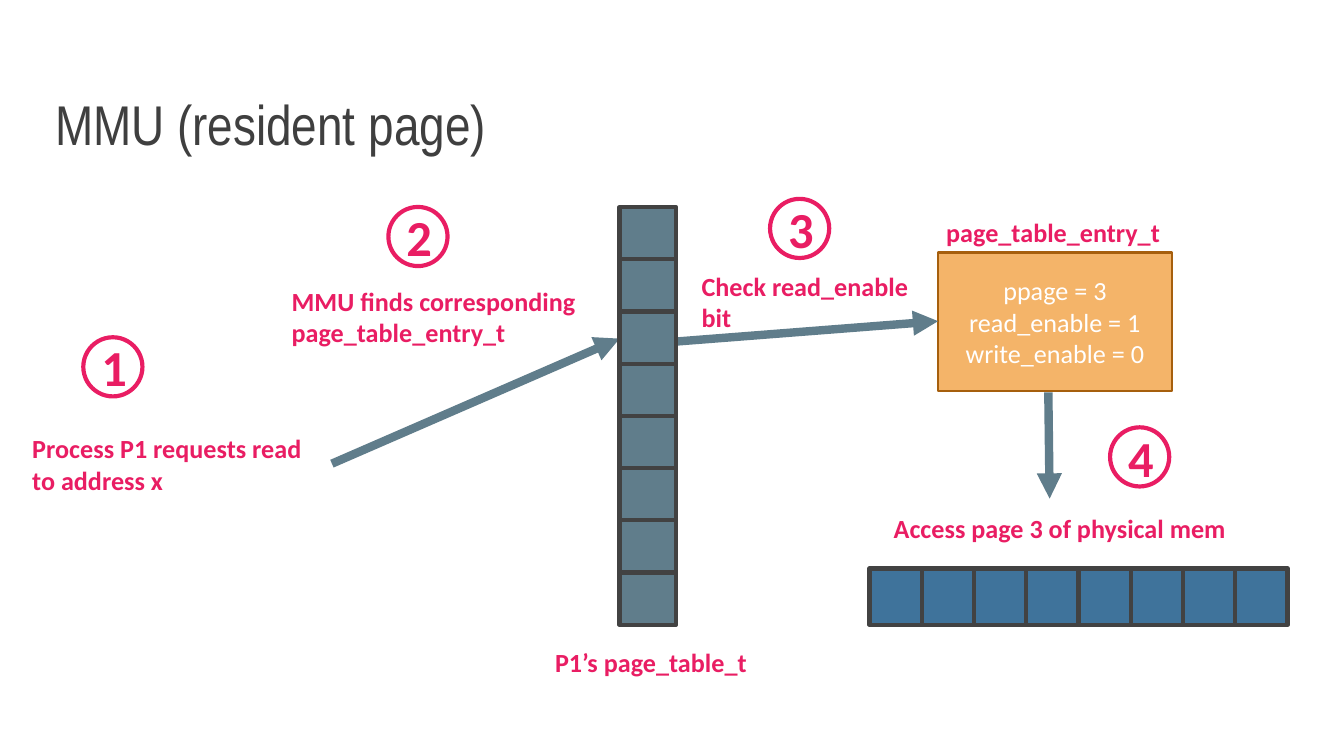
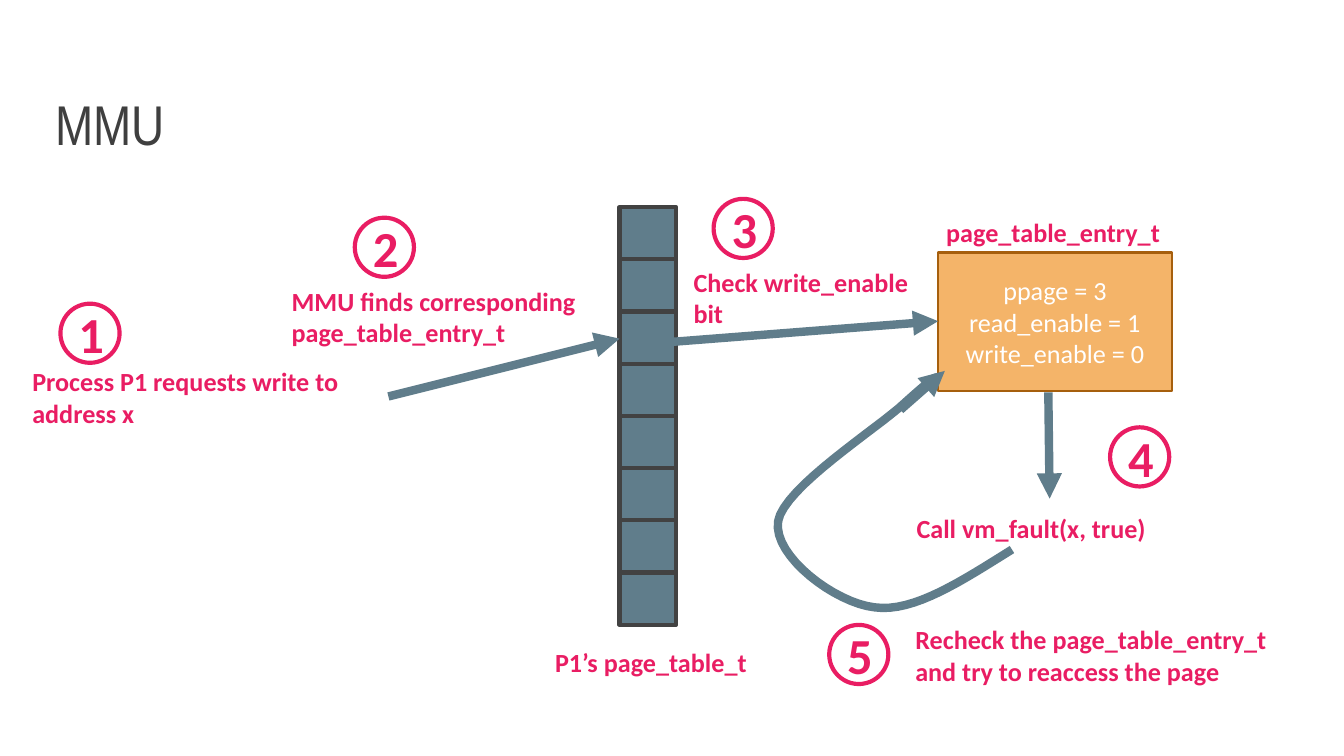
from pptx import Presentation
from pptx.dml.color import RGBColor
from pptx.enum.shapes import MSO_CONNECTOR, MSO_SHAPE
from pptx.enum.text import MSO_ANCHOR, PP_ALIGN
from pptx.oxml.ns import qn
from pptx.util import Pt
from lxml.etree import SubElement

PX = 9144
SLIDE_WIDTH = 1000
WHITE = RGBColor(0xFF, 0xFF, 0xFF)
PINK = RGBColor(0xE9, 0x1D, 0x63)
SLATE = RGBColor(0x60, 0x7D, 0x8B)
CHARCOAL = RGBColor(0x42, 0x42, 0x42)
TITLE_GREY = RGBColor(0x3F, 0x3F, 0x3F)
ORANGE = RGBColor(0xF4, 0xB4, 0x69)
BROWN = RGBColor(0xA6, 0x5F, 0x0D)
BLUE = RGBColor(0x3F, 0x73, 0x9B)

CELL_COUNT = 8
CELL_LENGTH = 39
CELL_BREADTH = 42
CELL_SPAN = 272
CIRCLE_SIZE = 44
CURVE_STEPS = 16
RETRY_START = (753, 409)
RETRY_CURVES = [
    ((716, 432), (680, 456), (651, 452)),
    ((622, 449), (575, 414), (579, 388)),
    ((583, 363), (654, 318), (673, 300)),
    ((693, 282), (695, 281), (697, 281)),
]


def emu(*lengths):
    """Convert px lengths to EMU."""
    return [round(length * PX) for length in lengths]


def write_text(shape, text, size=14, font="Calibri", color=PINK, bold=True,
               align=PP_ALIGN.LEFT, anchor=MSO_ANCHOR.TOP, spacing=None):
    """Fill a shape with text, one paragraph for each line."""
    frame = shape.text_frame
    frame.word_wrap = True
    frame.vertical_anchor = anchor
    frame.margin_left, frame.margin_top, frame.margin_right, frame.margin_bottom = emu(7, 4, 7, 4)
    for index, line in enumerate(text.split("\n")):
        paragraph = frame.add_paragraph() if index else frame.paragraphs[0]
        paragraph.alignment = align
        if spacing:
            paragraph.line_spacing = spacing
        run = paragraph.add_run()
        run.text = line
        run.font.size = Pt(size)
        run.font.name = font
        run.font.bold = bold
        run.font.color.rgb = color


def add_label(slide, text, left, top, width, height=30, **text_format):
    """Add a text box."""
    box = slide.shapes.add_textbox(*emu(left, top, width, height))
    write_text(box, text, **text_format)


def add_box(shapes, kind, left, top, width, height, fill, line, weight=2.25):
    """Add an outlined preset shape."""
    shape = shapes.add_shape(kind, *emu(left, top, width, height))
    shape.shadow.inherit = False
    shape.fill.solid()
    shape.fill.fore_color.rgb = fill
    shape.line.color.rgb = line
    shape.line.width = Pt(weight)
    return shape


def add_step(slide, number, left, top):
    """Add a numbered circle."""
    circle = add_box(slide.shapes, MSO_SHAPE.OVAL, left, top, CIRCLE_SIZE, CIRCLE_SIZE, WHITE, PINK)
    write_text(circle, str(number), size=27, align=PP_ALIGN.CENTER, anchor=MSO_ANCHOR.MIDDLE)


def add_arrow(slide, start, end):
    """Add a thick straight arrow."""
    arrow = slide.shapes.add_connector(MSO_CONNECTOR.STRAIGHT, *emu(*start, *end))
    arrow.line.color.rgb = SLATE
    arrow.line.width = Pt(4.5)
    SubElement(arrow.line._get_or_add_ln(), qn("a:tailEnd"), type="triangle")
    SubElement(arrow._element.spPr, qn("a:effectLst"))


def add_cells(slide, left, top, fill, vertical):
    """Add a grouped strip of equal memory cells."""
    group = slide.shapes.add_group_shape()
    width, height = (CELL_BREADTH, CELL_LENGTH) if vertical else (CELL_LENGTH, CELL_BREADTH)
    for index in range(CELL_COUNT):
        offset = index * CELL_SPAN / (CELL_COUNT - 1)
        x, y = (left, top + offset) if vertical else (left + offset, top)
        add_box(group.shapes, MSO_SHAPE.RECTANGLE, x, y, width, height, fill, CHARCOAL)


def curve_points(start, curves):
    """Return the points along a chain of cubic curves."""
    points = []
    for first, second, end in curves:
        for step in range(1, CURVE_STEPS + 1):
            t = step / CURVE_STEPS
            u = 1 - t
            points.append(emu(*(
                u**3 * a + 3 * u * u * t * b + 3 * u * t * t * c + t**3 * d
                for a, b, c, d in zip(start, first, second, end)
            )))
        start = end
    return points


def add_curve(slide, start, curves):
    """Add an open curved line."""
    builder = slide.shapes.build_freeform(*emu(*start))
    builder.add_line_segments(curve_points(start, curves), close=False)
    curve = builder.convert_to_shape()
    curve.shadow.inherit = False
    curve.fill.background()
    curve.line.color.rgb = SLATE
    curve.line.width = Pt(4.5)


def add_page_table(slide):
    """Add the column of page table entries."""
    add_cells(slide, 461, 154, SLATE, vertical=True)


def add_lookup(slide):
    """Add the parts of the page lookup that both slides show."""
    add_label(slide, "P1’s page_table_t", 406, 477, 195)
    add_label(slide, "MMU finds corresponding\npage_table_entry_t", 210, 208, 257, 53)
    entry = add_box(slide.shapes, MSO_SHAPE.RECTANGLE, 698, 188, 174, 103, ORANGE, BROWN, 1.25)
    write_text(entry, "ppage = 3\nread_enable = 1\nwrite_enable = 0", color=WHITE, bold=False,
               align=PP_ALIGN.CENTER, anchor=MSO_ANCHOR.MIDDLE)
    add_label(slide, "page_table_entry_t", 697, 157, 182)
    add_arrow(slide, (492, 255), (698, 239))
    add_arrow(slide, (780, 292), (781, 371))
    add_step(slide, 4, 826, 318)


def add_slide(presentation, title):
    """Add a blank slide with a title."""
    slide = presentation.slides.add_slide(presentation.slide_layouts[6])
    add_label(slide, title, 34, 41, 932, 80, size=30, font="Arial Narrow", color=TITLE_GREY,
              bold=False, anchor=MSO_ANCHOR.BOTTOM, spacing=0.85)
    return slide


def build_resident_page(presentation):
    """Build the slide on reading a resident page."""
    slide = add_slide(presentation, "MMU (resident page)")
    add_lookup(slide)
    add_label(slide, "Process P1 requests read to address x", 17, 318, 230, 53)
    add_arrow(slide, (247, 345), (461, 252))
    add_label(slide, "Check read_enable\nbit", 515, 197, 182, 53)
    add_label(slide, "Access page 3 of physical mem", 658, 377, 296)
    for number, left, top in [(1, 62, 251), (2, 289, 154), (3, 573, 148)]:
        add_step(slide, number, left, top)
    add_cells(slide, 647, 423, BLUE, vertical=False)
    add_page_table(slide)


def build_write_fault(presentation):
    """Build the slide on a write that faults."""
    slide = add_slide(presentation, "MMU")
    add_page_table(slide)
    add_lookup(slide)
    add_label(slide, "Process P1 requests write to\naddress x", 17, 268, 272, 53)
    add_arrow(slide, (289, 295), (461, 252))
    add_label(slide, "Check write_enable\nbit", 509, 194, 181, 53)
    add_label(slide, "Call vm_fault(x, true)", 675, 377, 223)
    add_curve(slide, RETRY_START, RETRY_CURVES)
    for number, left, top in [(1, 45, 226), (2, 264, 162), (3, 531, 148), (5, 617, 465)]:
        add_step(slide, number, left, top)
    add_label(slide, "Recheck the page_table_entry_t\nand try to reaccess the page", 674, 460, 312, 53)
    add_arrow(slide, (670, 305), (703, 276))


def main():
    """Build and save the presentation."""
    presentation = Presentation()
    presentation.slide_width = SLIDE_WIDTH * PX
    presentation.slide_height = SLIDE_WIDTH * PX * 9 // 16
    build_resident_page(presentation)
    build_write_fault(presentation)
    presentation.save("out.pptx")


if __name__ == "__main__":
    main()
